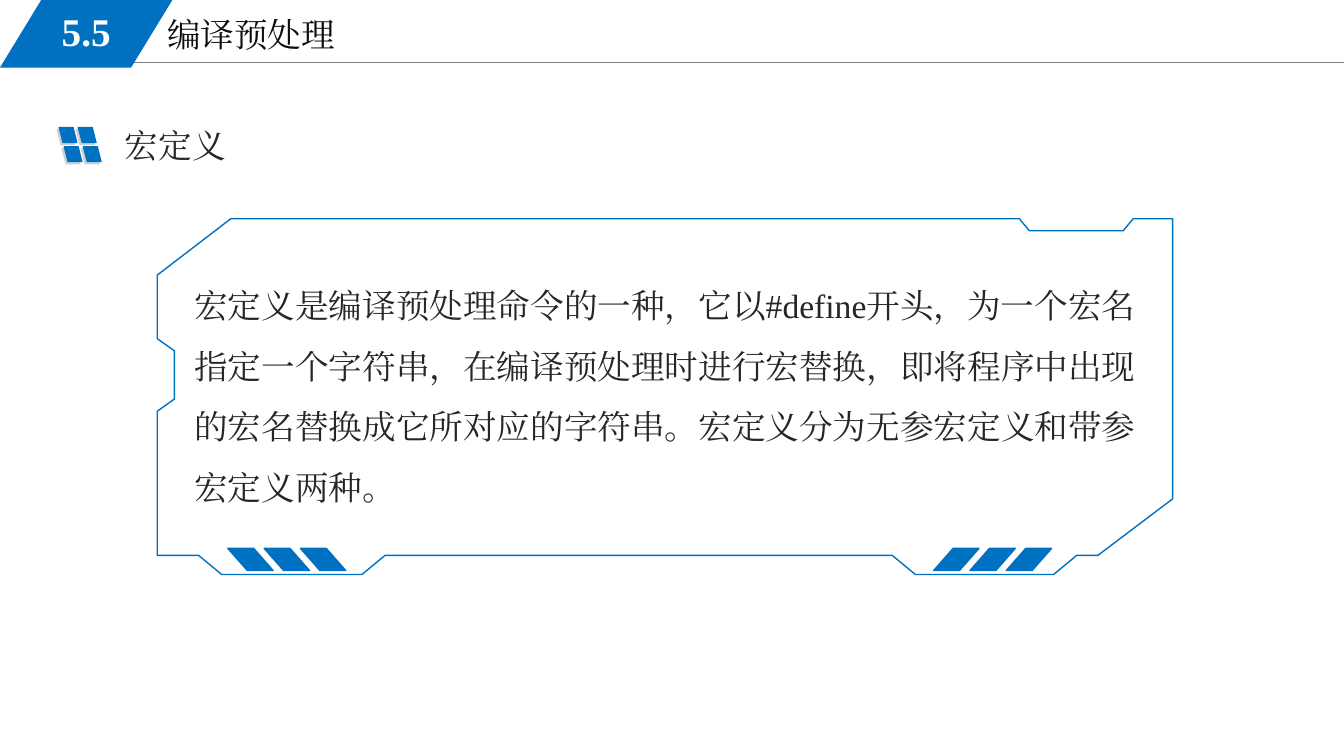
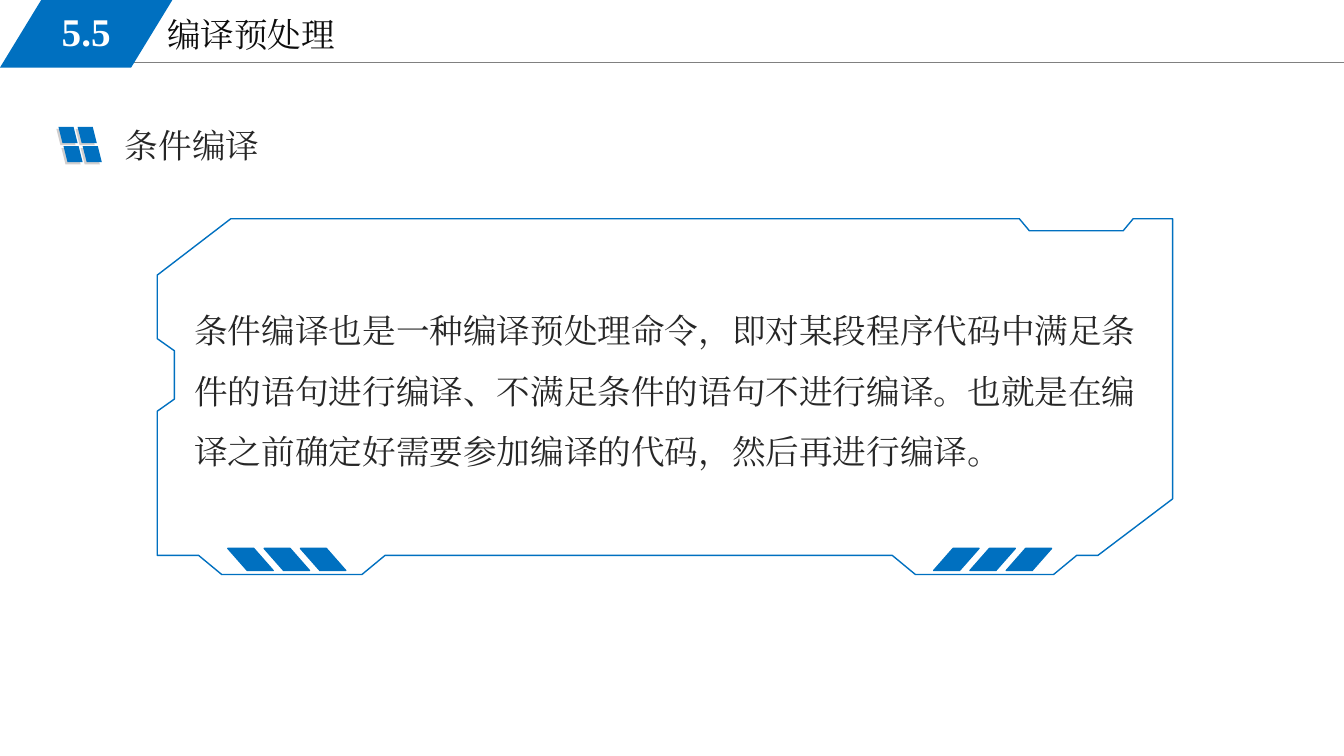
from lxml import etree
from pptx import Presentation
from pptx.dml.color import RGBColor
from pptx.enum import lang, shapes, text
from pptx.oxml.ns import qn
from pptx.util import Inches, Pt

BLUE = RGBColor(0x00, 0x70, 0xC0)
GREY = RGBColor(0x80, 0x80, 0x80)
SHADE = RGBColor(0xD0, 0xCE, 0xCE)
BLACK = RGBColor(0x0D, 0x0D, 0x0D)
DARK = RGBColor(0x26, 0x26, 0x26)
WHITE = RGBColor(0xFF, 0xFF, 0xFF)
FONT = "Times New Roman"

# Frame outline in hundredths of an inch, clockwise from the top left
FRAME = [
    (229, 217), (1011, 217), (1021, 229), (1114, 229), (1124, 217), (1163, 217),
    (1163, 495), (1089, 551), (1068, 551), (1045, 570), (908, 570), (885, 551),
    (382, 551), (359, 570), (220, 570), (197, 551), (156, 551),
    (156, 408), (173, 396), (173, 348), (156, 336), (156, 273),
]

TOPICS = [
    ("宏定义", 2.58, 2.45,
     "宏定义是编译预处理命令的一种，它以#define开头，为一个宏名指定一个字符串，"
     "在编译预处理时进行宏替换，即将程序中出现的宏名替换成它所对应的字符串。"
     "宏定义分为无参宏定义和带参宏定义两种。"),
    ("条件编译", 2.83, 1.85,
     "条件编译也是一种编译预处理命令，即对某段程序代码中满足条件的语句进行编译、"
     "不满足条件的语句不进行编译。也就是在编译之前确定好需要参加编译的代码，"
     "然后再进行编译。"),
]


class Deck:
    def __init__(self):
        self.prs = Presentation()
        self.prs.slide_width, self.prs.slide_height = Inches(13.33), Inches(7.5)
        self.s = None

    def new_slide(self, number, title):
        self.s = self.prs.slides.add_slide(self.prs.slide_layouts[6])
        self.rule(1.13, 13.33, 0.62)
        self.text(title, 1.56, 0.09, 5.67, 0.51, color=BLACK)
        self.slant(0, 0, 1.71, 0.67, adj=0.61)
        self.text(number, 0.25, 0.02, 1.21, 0.58, color=WHITE, size=28, bold=True,
                  anchor=text.MSO_ANCHOR.MIDDLE, alignment=text.PP_ALIGN.CENTER)

    def rule(self, x1, x2, y):
        line = self.s.shapes.add_connector(
            shapes.MSO_CONNECTOR.STRAIGHT, Inches(x1), Inches(y), Inches(x2), Inches(y))
        line.line.color.rgb = GREY
        line.line.width = Pt(0.75)
        etree.SubElement(line._element.spPr, qn("a:effectLst"))

    def text(self, content, x, y, w, h, color=DARK, size=24, bold=False,
             anchor=text.MSO_ANCHOR.TOP, **paragraph_format):
        box = self.s.shapes.add_textbox(Inches(x), Inches(y), Inches(w), Inches(h))
        tf = box.text_frame
        tf.word_wrap = True
        tf.auto_size = text.MSO_AUTO_SIZE.SHAPE_TO_FIT_TEXT
        tf.vertical_anchor = anchor
        p = tf.paragraphs[0]
        for name, value in paragraph_format.items():
            setattr(p, name, value)
        r = p.add_run()
        r.text = content
        font_format = {"name": FONT, "size": Pt(size), "bold": bold,
                       "language_id": lang.MSO_LANGUAGE_ID.SIMPLIFIED_CHINESE}
        for name, value in font_format.items():
            setattr(r.font, name, value)
        r.font.color.rgb = color
        etree.SubElement(r._r.get_or_add_rPr(), qn("a:ea"), typeface=FONT)

    def slant(self, x, y, w, h, fill=BLUE, adj=0.25, flip=False, outline=False):
        """Add a parallelogram; flip makes it lean to the left."""
        sp = self.s.shapes.add_shape(shapes.MSO_SHAPE.PARALLELOGRAM,
                                     Inches(x), Inches(y), Inches(w), Inches(h))
        sp.adjustments[0] = adj
        sp.shadow.inherit = False
        sp.fill.solid()
        sp.fill.fore_color.rgb = fill
        if outline:
            sp.line.color.rgb = BLUE
            sp.line.width = Pt(1)
        else:
            sp.line.fill.background()
        if flip:
            sp._element.spPr.xfrm.set("flipH", "1")

    def heading(self, content):
        for x, y, fill in ((0.56, 1.28, SHADE), (0.58, 1.26, BLUE)):
            for col in range(2):
                for row in range(2):
                    self.slant(x + 0.19 * col + 0.05 * row, y + 0.19 * row,
                               0.19, 0.16, fill, flip=True)
        self.text(content, 1.14, 1.19, 2.35, 0.5)

    def frame(self):
        builder = self.s.shapes.build_freeform(*FRAME[0], scale=Inches(0.01))
        builder.add_line_segments(FRAME[1:], close=True)
        sp = builder.convert_to_shape()
        sp.shadow.inherit = False
        sp.fill.background()
        sp.line.color.rgb = BLUE
        sp.line.width = Pt(1)
        for left, flip in ((9.26, False), (2.26, True)):
            for i in range(3):
                self.slant(left + 0.36 * i, 5.44, 0.45, 0.22, adj=0.88,
                           flip=flip, outline=True)


def main():
    deck = Deck()
    for name, top, height, body in TOPICS:
        deck.new_slide("5.5", "编译预处理")
        deck.text(body, 1.83, top, 9.67, height, line_spacing=1.5)
        deck.heading(name)
        deck.frame()
    deck.prs.save("out.pptx")


if __name__ == "__main__":
    main()
